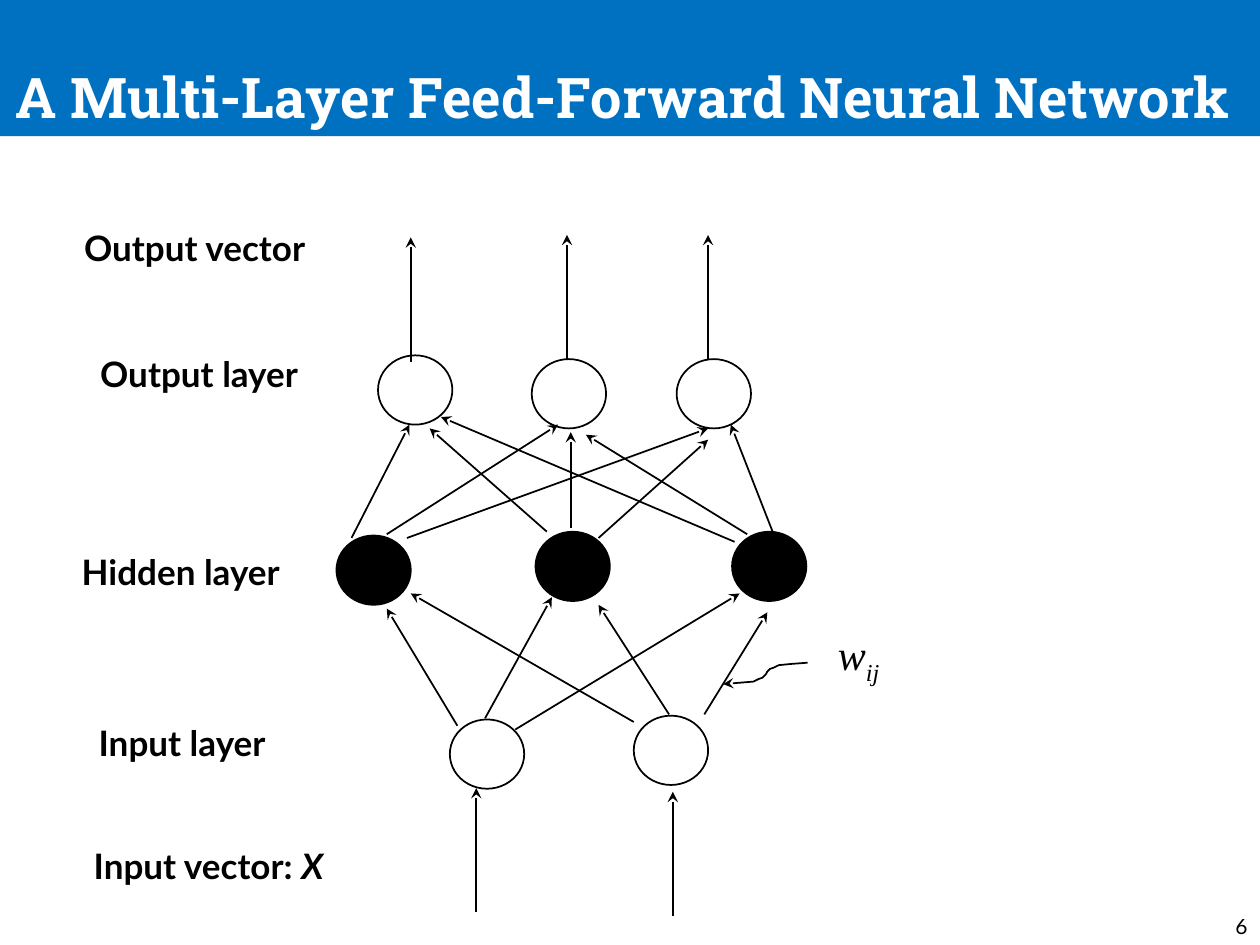
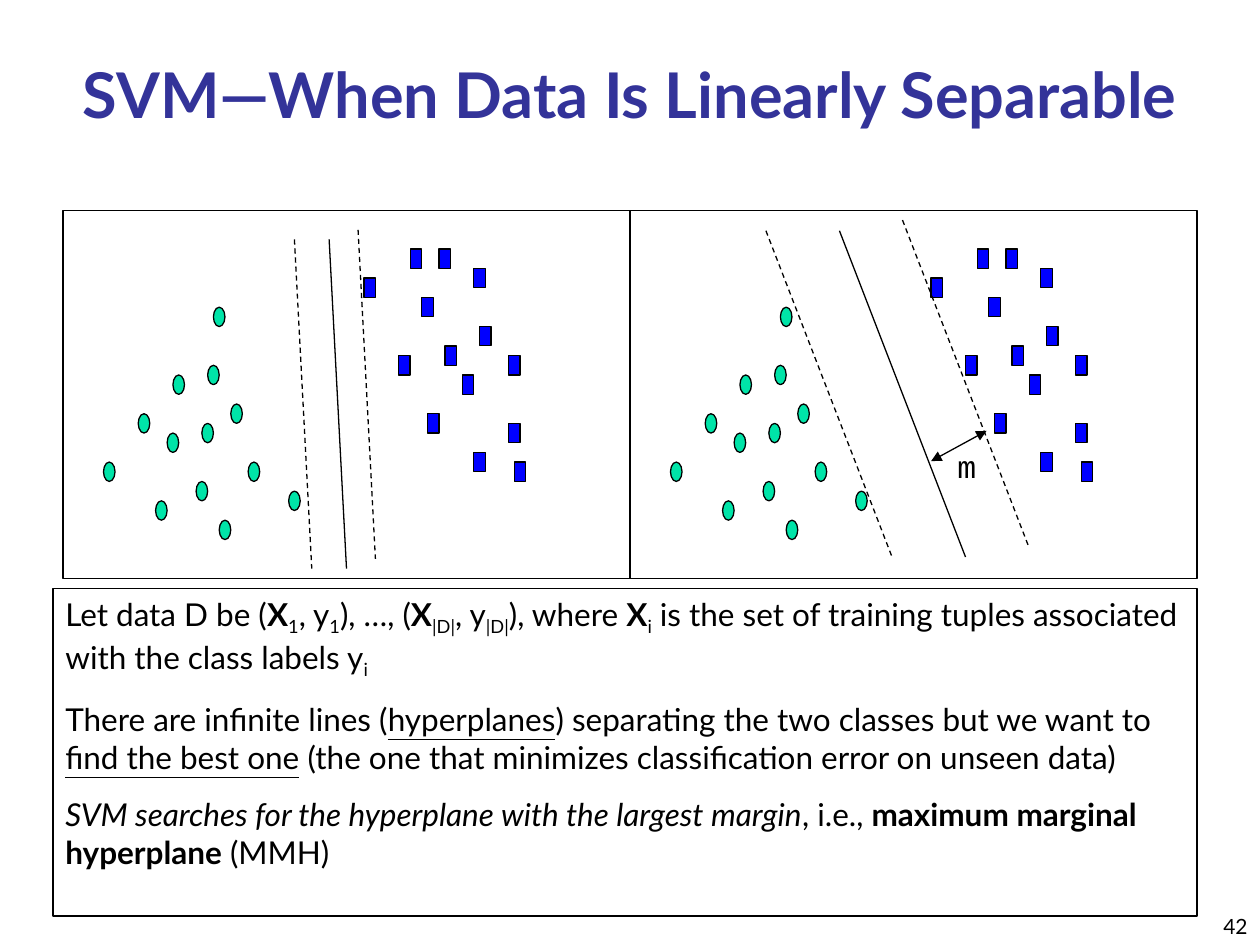
from lxml import etree
from pptx import Presentation
from pptx import util as u
from pptx.dml.color import RGBColor
from pptx.enum import dml, shapes, text
from pptx.oxml.ns import qn

COLORS = {"black": "000000", "white": "FFFFFF", "band": "0070C0",
          "heading": "333399", "circle": "00E4A8", "square": "0000FF"}
BODY, SLAB, SERIF, MONO = "Lato", "Roboto Slab", "Times New Roman", "Courier New"
RUN_STYLES = {"b": {"bold": True}, "i": {"italic": True}, "u": {"underline": True}}
CENTER, RIGHT = text.PP_ALIGN.CENTER, text.PP_ALIGN.RIGHT
BOTTOM = text.MSO_ANCHOR.BOTTOM
OVAL, RECT = shapes.MSO_SHAPE.OVAL, shapes.MSO_SHAPE.RECTANGLE


class Deck:
    """Holds the style, the current slide and the grid that lengths refer to."""

    def __init__(self):
        self.prs = Presentation()
        self.prs.slide_width, self.prs.slide_height = u.Inches(10), u.Inches(7.5)
        self.weight = 1

    def new_slide(self, number, weight):
        self.slide = self.prs.slides.add_slide(self.prs.slide_layouts[6])
        self.weight = weight
        self.page_grid()
        self.label((79.2, 70.8, 20.8, 4.2), [[str(number)]], size=12,
                   align=RIGHT, anchor=BOTTOM)

    # Grid: the whole page is 100 columns by 75 rows
    def page_grid(self):
        self.origin = (0, 0)
        self.cell = (self.prs.slide_width / 100, self.prs.slide_height / 75)

    def panel_grid(self, box, cols, rows):
        self.page_grid()
        left, top, width, height = self.place(box)
        self.origin, self.cell = (left, top), (width / cols, height / rows)

    def point(self, col, row):
        return tuple(round(start + step * n) for start, step, n
                     in zip(self.origin, self.cell, (col, row)))

    def place(self, box):
        size = tuple(round(step * n) for step, n in zip(self.cell, box[2:]))
        return self.point(*box[:2]) + size

    # Formatting helpers
    def color(self, name):
        return RGBColor.from_string(COLORS[name])

    def paint(self, shape, fill, outline="black"):
        shape.shadow.inherit = False
        for part, name in ((shape.fill, fill), (shape.line.fill, outline)):
            if name:
                part.solid()
                part.fore_color.rgb = self.color(name)
            else:
                part.background()
        if outline:
            shape.line.width = u.Pt(self.weight)

    def arrowheads(self, line, ends):
        ln = line._element.spPr.find(qn("a:ln"))
        for end, kind in ends.items():
            etree.SubElement(ln, qn(f"a:{end}End")).set("type", kind)

    # Elements
    def shape(self, kind, box, fill=None, outline="black"):
        shape = self.slide.shapes.add_shape(kind, *self.place(box))
        self.paint(shape, fill, outline)
        return shape

    def line(self, start, end, dash=False, **ends):
        line = self.slide.shapes.add_connector(
            shapes.MSO_CONNECTOR.STRAIGHT, *self.point(*start), *self.point(*end))
        line.line.color.rgb = self.color("black")
        line.line.width = u.Pt(self.weight)
        if dash:
            line.line.dash_style = dml.MSO_LINE.DASH
        etree.SubElement(line._element.spPr, qn("a:effectLst"))
        self.arrowheads(line, ends)

    def curve(self, points, **ends):
        start, *rest = [self.point(*p) for p in points]
        builder = self.slide.shapes.build_freeform(*start)
        builder.add_line_segments(rest, close=False)
        curve = builder.convert_to_shape()
        self.paint(curve, None)
        self.arrowheads(curve, ends)

    def label(self, box, paragraphs, shape=None, size=18, font=BODY, color="black",
              bold=False, align=text.PP_ALIGN.LEFT, anchor=text.MSO_ANCHOR.TOP,
              wrap=True, gap=0):
        """A run is a string, or a pair of string and style letters (s: subscript)."""
        shape = shape or self.slide.shapes.add_textbox(*self.place(box))
        frame = shape.text_frame
        frame.word_wrap, frame.vertical_anchor = wrap, anchor
        for n, runs in enumerate(paragraphs):
            paragraph = frame.add_paragraph() if n else frame.paragraphs[0]
            paragraph.alignment = align
            paragraph.space_before = u.Pt(gap if n else 0)
            for item in runs:
                words, letters = (item, "") if isinstance(item, str) else item
                run = paragraph.add_run()
                run.text = words
                style = {"name": font, "size": u.Pt(size), "bold": bold}
                for letter in letters:
                    style.update(RUN_STYLES.get(letter, {}))
                for key, value in style.items():
                    setattr(run.font, key, value)
                run.font.color.rgb = self.color(color)
                if "s" in letters:
                    run._r.get_or_add_rPr().set("baseline", "-25000")

    def title(self, words, box, size, font, color, band=None):
        holder = self.shape(RECT, box, band, outline=None)
        self.label(box, [[words]], holder, size, font, color, bold=True,
                   align=CENTER, anchor=BOTTOM)


# Network: node corners, arrows and row labels on the page grid
NODES = {
    None: [(30, 28.2), (42.2, 28.5), (53.7, 28.5), (35.7, 57.1), (50.3, 56.8)],
    "black": [(26.7, 42.5), (42.5, 42.2), (58.1, 42.2)],
}
INPUT_TO_HIDDEN = [
    ((36.3, 57.6), (30.7, 48.3)), ((38.5, 57), (43.8, 47.4)),
    ((40.9, 57.9), (58.7, 47.1)), ((50.3, 57.3), (32.6, 47.1)),
    ((53.1, 56.7), (47.5, 48)), ((55.9, 56.7), (60.9, 48.6)),
]
HIDDEN_TO_OUTPUT = [
    ((27.9, 42.7), (32.5, 33.7)), ((30.7, 42.4), (44.3, 33.7)),
    ((32.3, 42.7), (56.2, 34)), ((58.3, 43), (35, 33.1)),
    ((61.4, 42.4), (58, 33.7)), ((59.3, 42.4), (46.5, 34.5)),
    ((43.4, 42.2), (34.1, 34)), ((45.3, 41.9), (45.3, 34.3)),
    ((47.5, 42.7), (56.2, 34.9)),
]
VECTOR_STARTS = [(37.8, 72.4), (53.4, 72.7), (32.6, 28.7), (45, 28.5), (56.2, 28.5)]
VECTOR_LENGTH = 9.85
ROW_LABELS = [
    ((4.6, 17.5, 21.7, 4.3), ["Output vector"]),
    ((5.9, 27.5, 19.8, 4.3), ["Output layer"]),
    ((4.5, 43.2, 19.7, 4.3), ["Hidden layer"]),
    ((5.7, 56.8, 17.5, 4.3), ["Input layer"]),
    ((5.3, 66.5, 22.5, 4.3), ["Input vector: ", ("X", "i")]),
]
WEIGHT_POINTER = [
    (64.1, 52.6), (62.8, 52.7), (61.8, 52.8), (61.4, 53), (61.1, 53.1),
    (60.9, 53.3), (60.8, 53.5), (60.7, 53.6), (60.5, 53.8), (60.2, 53.9),
    (59.8, 54.1), (58.6, 54.2), (57.4, 54.3),
]

# Data classes: cells of a panel grid of 98 columns by 38 rows
PANEL_COLS, PANEL_ROWS = 98, 38
CIRCLES = [(16, 30), (18, 23), (7, 26), (13, 21), (23, 28), (19, 17), (24, 22),
           (25, 16), (29, 20), (32, 26), (27, 32), (39, 29), (26, 10)]
SQUARES = [(58, 15), (52, 7), (60, 4), (63, 21), (62, 9), (66, 14), (65, 4),
           (71, 6), (69, 17), (72, 12), (71, 25), (77, 15), (77, 22), (78, 26)]
# Each panel: slope of its lines, then start and dash of each line
SMALL_MARGIN = ((3, 34), [((51, 2), True), ((40, 3), True), ((46, 3), False)])
LARGE_MARGIN = ((21.8, 33.7),
                [((23.5, 2.1), True), ((47.1, 1), True), ((36.2, 2.1), False)])

EXPLANATION = [
    ["Let data D be (", ("X", "b"), ("1", "s"), ", y", ("1", "s"), "), …, (",
     ("X", "b"), ("|D|", "s"), ", y", ("|D|", "s"), "), where ", ("X", "b"),
     ("i", "s"), " is the set of training tuples associated with the class labels y",
     ("i", "s")],
    ["There are infinite lines (", ("hyperplanes", "u"),
     ") separating the two classes but we want to ", ("find the best one", "u"),
     " (the one that minimizes classification error on unseen data)"],
    [("SVM searches for the hyperplane with the largest margin", "i"), ", i.e., ",
     ("maximum marginal hyperplane", "b"), " (MMH)"],
]


def network_slide(deck):
    deck.new_slide(6, weight=1)
    deck.title("A Multi-Layer Feed-Forward Neural Network ", (0, 0, 100, 10.8),
               32, SLAB, "white", band="band")
    # Nodes
    for fill, corners in NODES.items():
        for corner in corners:
            deck.shape(OVAL, (*corner, 5.9, 5.5), fill)
    # Arrows
    vectors = [((x, y), (x, y - VECTOR_LENGTH)) for x, y in VECTOR_STARTS]
    for start, end in INPUT_TO_HIDDEN + HIDDEN_TO_OUTPUT + vectors:
        deck.line(start, end, tail="stealth")
    # Labels
    for box, runs in ROW_LABELS:
        deck.label(box, [runs], size=20, bold=True, align=CENTER, wrap=False)
    deck.label((65.5, 49.4, 5.3, 5.6), [[("w", "i"), ("ij", "is")]], size=24,
               font=SERIF, align=CENTER, wrap=False)
    deck.curve(WEIGHT_POINTER, tail="stealth")


def margin_panel(deck, left, margin):
    deck.panel_grid((left, 16.7, 45, 29.2), PANEL_COLS, PANEL_ROWS)
    for kind, fill, cells in ((OVAL, "circle", CIRCLES), (RECT, "square", SQUARES)):
        for cell in cells:
            deck.shape(kind, (*cell, 2, 2), fill)
    deck.shape(RECT, (0, 0, PANEL_COLS, PANEL_ROWS))
    (run, drop), lines = margin
    for (col, row), dash in lines:
        deck.line((col, row), (col + run, row + drop), dash)


def svm_slide(deck):
    deck.new_slide(42, weight=0.75)
    deck.title("SVM—When Data Is Linearly Separable", (0, 4.2, 100, 6.7),
               36, BODY, "heading")
    # Two ways to separate the same data
    for n, margin in enumerate((SMALL_MARGIN, LARGE_MARGIN)):
        margin_panel(deck, 5 + 45 * n, margin)
    # Margin width
    deck.page_grid()
    deck.line((73.9, 36.6), (78.3, 34.2), head="triangle", tail="triangle")
    deck.label((75, 35, 5.8, 4), [["m"]], font=MONO)
    # Explanation
    box = (4.2, 46.7, 90.8, 26)
    deck.label(box, EXPLANATION, deck.shape(RECT, box), gap=11.2)


def main():
    deck = Deck()
    network_slide(deck)
    svm_slide(deck)
    deck.prs.save("out.pptx")


if __name__ == "__main__":
    main()
